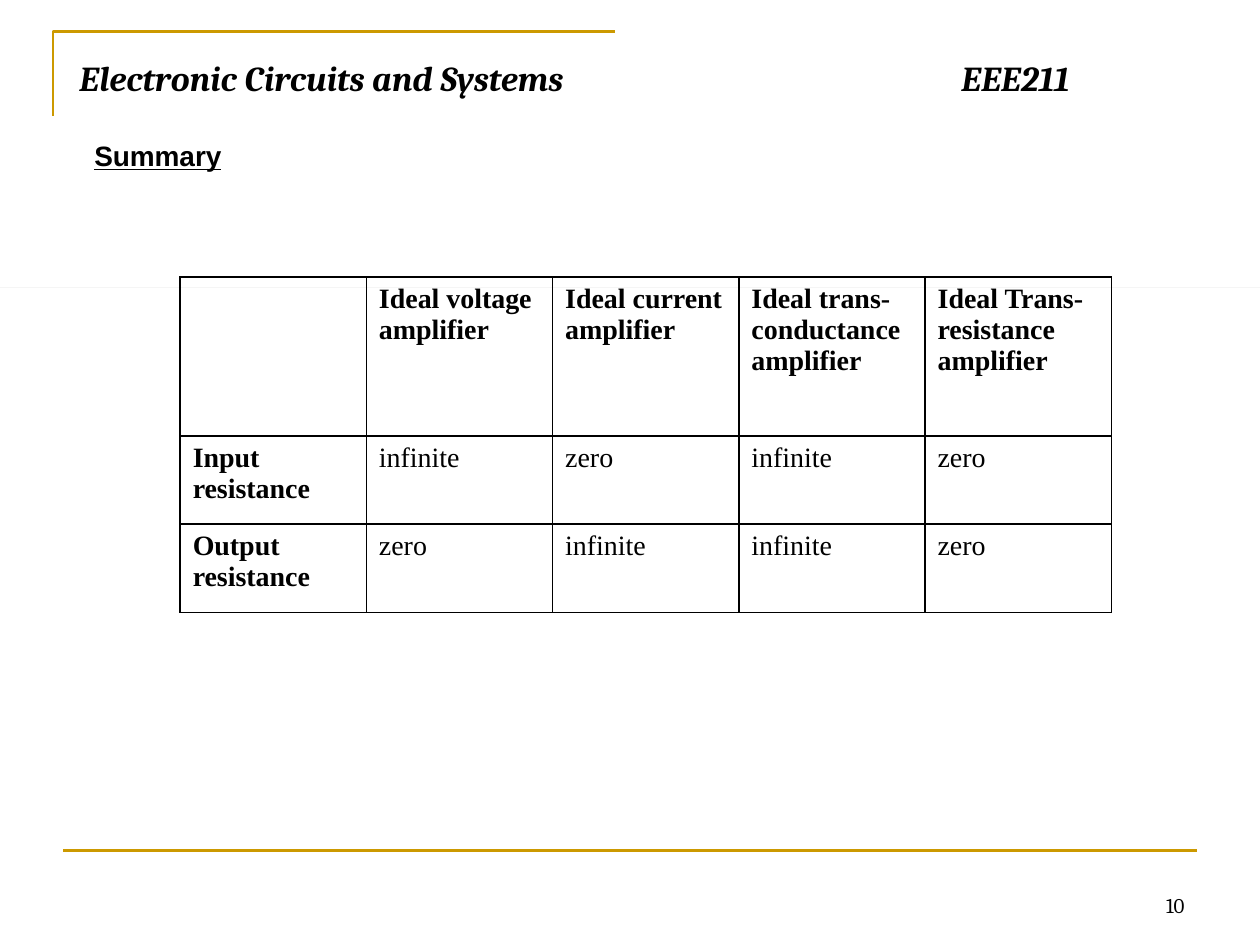
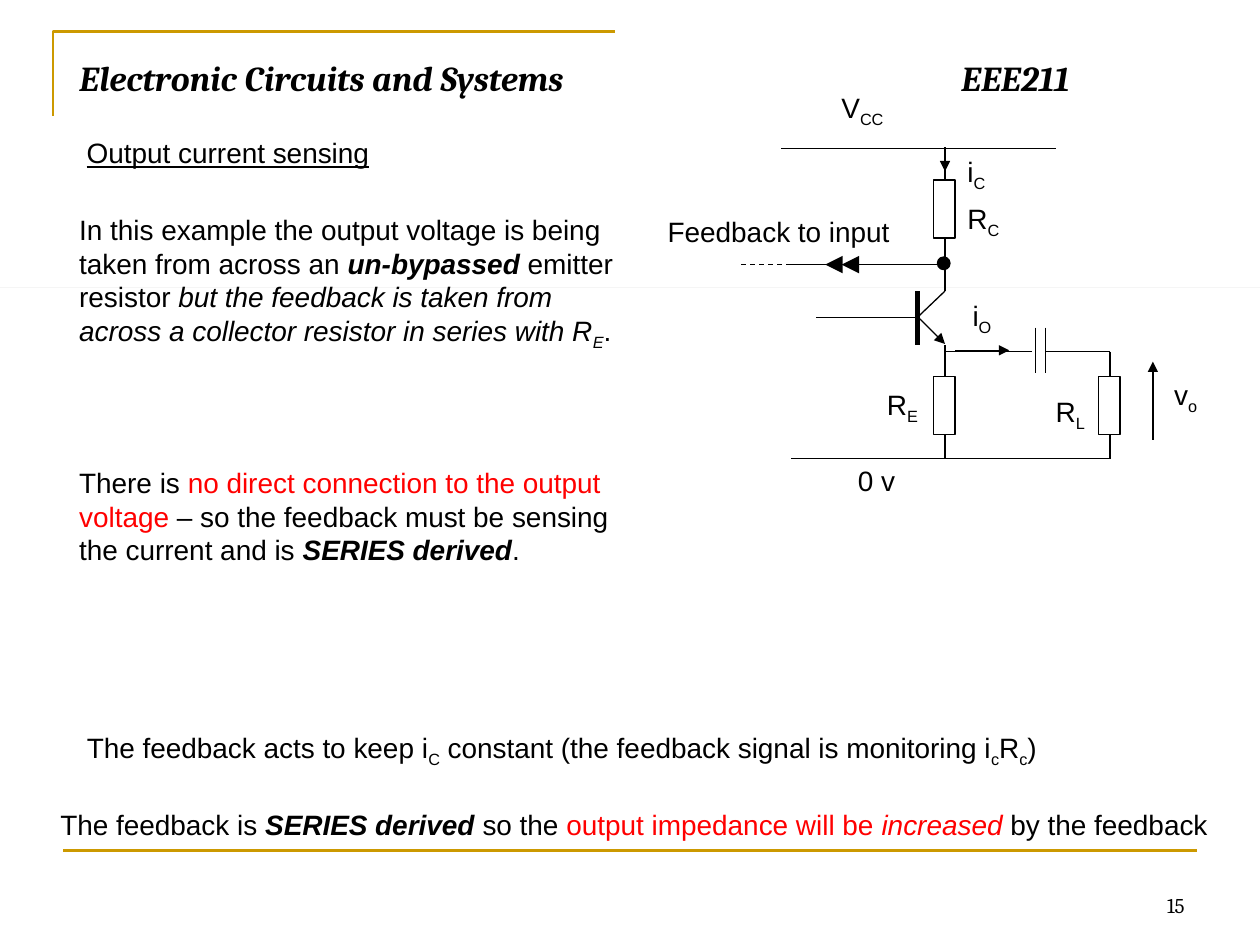
"""Build two lecture slides: an amplifier summary table and an output current sensing circuit."""
from lxml.etree import SubElement
from pptx import Presentation
from pptx.dml.color import RGBColor
from pptx.enum.dml import MSO_LINE
from pptx.enum.shapes import MSO_CONNECTOR, MSO_SHAPE
from pptx.enum.text import MSO_ANCHOR, MSO_AUTO_SIZE, PP_ALIGN
from pptx.oxml.ns import qn
from pptx.util import Inches, Pt

BLACK, WHITE, RED, GOLD, PALE = "000000", "FFFFFF", "FF0000", "CC9900", "E4E4E4"
TITLE = "Electronic Circuits and Systems\tEEE211"
SUBSCRIPT = "-25000"


def write(frame, paragraphs, font="Arial", size=16):
    """Fill a text frame with paragraphs made of (text, style words) spans."""
    frame.word_wrap = True
    for index, spans in enumerate(paragraphs):
        para = frame.paragraphs[0] if index == 0 else frame.add_paragraph()
        for text, style in spans:
            words = style.split()
            span = para.add_run()
            span.text = text
            values = {"name": font, "size": Pt(size), "bold": "bold" in words,
                      "italic": "italic" in words, "underline": "underline" in words}
            for name, value in values.items():
                setattr(span.font, name, value)
            span.font.color.rgb = RGBColor.from_string(RED if "red" in words else BLACK)
            if "sub" in words:
                span._r.get_or_add_rPr().set("baseline", SUBSCRIPT)


def draw_line(page, start, end, color=BLACK, width=0.75, head=None, dash=None):
    """Draw a straight line, with an arrowhead of the given size at its end."""
    line = page.shapes.add_connector(MSO_CONNECTOR.STRAIGHT, *map(Inches, start + end))
    line.line.color.rgb = RGBColor.from_string(color)
    line.line.width = Pt(width)
    if dash:
        line.line.dash_style = dash
    properties = line._element.spPr
    if head:
        SubElement(properties.find(qn("a:ln")), qn("a:tailEnd"), type="triangle", w=head, len=head)
    SubElement(properties, qn("a:effectLst"))


deck = Presentation()
deck.slide_width, deck.slide_height = Inches(10), Inches(7.5)

pages = []
for number in ("10", "15"):
    page = deck.slides.add_slide(deck.slide_layouts[5])
    pages.append(page)

    outline = page.shapes.build_freeform(Inches(0.42), Inches(0.92))
    outline.add_line_segments([(Inches(0.42), Inches(0.25)), (Inches(4.88), Inches(0.25))], close=False)
    bracket = outline.convert_to_shape()
    bracket.shadow.inherit = False
    bracket.fill.background()
    bracket.line.color.rgb = RGBColor.from_string(GOLD)
    bracket.line.width = Pt(1.5)
    draw_line(page, (0.5, 6.75), (9.5, 6.75), GOLD, 1.5)

    hairline = page.shapes.add_shape(MSO_SHAPE.RECTANGLE, 0, Inches(2.28), Inches(10), 0)
    hairline.shadow.inherit = False
    hairline.fill.solid()
    hairline.fill.fore_color.rgb = RGBColor.from_string(PALE)
    hairline.line.fill.background()

    title = page.shapes.title
    title.left, title.top, title.width, title.height = map(Inches, (0.53, 0.4, 8.92, 0.61))
    write(title.text_frame, [[(TITLE, "bold italic")]], "Cambria", 20)
    title.text_frame.auto_size = MSO_AUTO_SIZE.NONE
    title.text_frame.vertical_anchor = MSO_ANCHOR.TOP
    heading = title.text_frame.paragraphs[0]
    heading.alignment = PP_ALIGN.LEFT
    tabs = SubElement(heading._p.get_or_add_pPr(), qn("a:tabLst"))
    SubElement(tabs, qn("a:tab"), pos=str(Inches(7)), algn="l")

    footer = page.shapes.add_textbox(*map(Inches, (7.17, 6.83, 2.33, 0.5))).text_frame
    write(footer, [[(number, "")]], "Cambria", 12)
    footer.vertical_anchor = MSO_ANCHOR.BOTTOM
    footer.paragraphs[0].alignment = PP_ALIGN.RIGHT

summary, sensing = pages

box = summary.shapes.add_textbox(*map(Inches, (0.65, 1.05, 1.47, 0.37)))
write(box.text_frame, [[("Summary", "bold underline")]])

rows = [
    ["", "Ideal voltage\namplifier", "Ideal current\namplifier",
     "Ideal trans-conductance\namplifier", "Ideal Trans-resistance\namplifier"],
    ["Input resistance", "infinite", "zero", "infinite", "zero"],
    ["Output resistance", "zero", "infinite", "infinite", "zero"],
]
table = summary.shapes.add_table(3, 5, *map(Inches, (1.43, 2.2, 7.39, 2.67))).table
table.first_row = table.horz_banding = False
for column in table.columns:
    column.width = Inches(7.39 / 5)
for row, height in zip(table.rows, (1.26, 0.7, 0.7)):
    row.height = Inches(height)
for row_index, row in enumerate(rows):
    for column_index, text in enumerate(row):
        cell = table.cell(row_index, column_index)
        style = "" if row_index and column_index else "bold"
        write(cell.text_frame, [[(part, style)] for part in text.split("\n")], "Times New Roman")
        for side in ("lnL", "lnR", "lnT", "lnB"):
            border = SubElement(cell._tc.get_or_add_tcPr(), qn(f"a:{side}"), w=str(Pt(1)))
            SubElement(SubElement(border, qn("a:solidFill")), qn("a:srgbClr"), val=BLACK)
        cell.fill.background()

statements = [
    ((0.59, 1.03, 3.84, 0.37), [[("Output current sensing", "underline")]]),
    ((0.53, 1.64, 4.47, 2.93), [
        [("In this example the output voltage is being taken from across an ", ""),
         ("un-bypassed", "bold italic"), (" emitter resistor ", ""),
         ("but the feedback is taken from across a collector resistor in series with R", "italic"),
         ("E", "italic sub"), (".", "")],
        [("There is ", ""), ("no direct connection to the output voltage ", "red"),
         ("– so the feedback must be sensing the current and is ", ""),
         ("SERIES derived", "bold italic"), (".", "")]]),
    ((0.38, 6.36, 9.38, 0.37), [
        [("The feedback is ", ""), ("SERIES derived ", "bold italic"), ("so the ", ""),
         ("output impedance will be ", "red"), ("increased ", "red italic"), ("by the feedback", "")]]),
    ((0.59, 5.75, 8.98, 0.37), [
        [("The feedback acts to keep i", ""), ("C", "sub"),
         (" constant (the feedback signal is monitoring i", ""), ("c", "sub"),
         ("R", ""), ("c", "sub"), (")", "")]]),
]
for place, paragraphs in statements:
    frame = sensing.shapes.add_textbox(*map(Inches, place)).text_frame
    write(frame, paragraphs)
    for para in frame.paragraphs[1:]:
        para.space_before = Pt(65)

wires = [
    ((6.2, 1.18), (8.38, 1.18)),
    ((7.5, 1.18), (7.5, 2.31)),
    ((7.28, 2.52), (7.5, 2.31)),
    ((6.48, 2.52), (7.28, 2.52)),
    ((7.5, 2.74), (7.5, 3.64)),
    ((6.28, 3.64), (8.81, 3.64)),
    ((7.5, 2.79), (8.19, 2.79)),
    ((8.22, 2.6), (8.22, 2.96)),
    ((8.3, 2.6), (8.3, 2.96)),
    ((8.3, 2.79), (8.81, 2.79)),
    ((8.81, 2.79), (8.81, 3.64)),
    ((6.28, 2.1), (7.5, 2.1)),
]
for start, end in wires:
    draw_line(sensing, start, end)
draw_line(sensing, (7.28, 2.31), (7.28, 2.74), width=3)
draw_line(sensing, (6.35, 2.1), (5.86, 2.1), dash=MSO_LINE.DASH)

arrows = [
    ((7.3, 2.53), (7.5, 2.73), "med"),
    ((9.15, 3.49), (9.15, 2.87), "med"),
    ((7.58, 2.78), (8.01, 2.78), "med"),
    ((7.5, 1.17), (7.5, 1.36), "med"),
    ((6.91, 2.1), (6.55, 2.1), "lg"),
    ((7.04, 2.1), (6.68, 2.1), "lg"),
]
for start, end, head in arrows:
    draw_line(sensing, start, end, head=head)

parts = [(MSO_SHAPE.RECTANGLE, (left, top, 0.17, 0.46), WHITE)
         for left, top in ((7.41, 1.43), (7.41, 2.99), (8.72, 2.99))]
parts.append((MSO_SHAPE.OVAL, (7.44, 2.04, 0.1, 0.1), BLACK))
for kind, place, color in parts:
    part = sensing.shapes.add_shape(kind, *map(Inches, place))
    part.shadow.inherit = False
    part.fill.solid()
    part.fill.fore_color.rgb = RGBColor.from_string(color)
    part.line.color.rgb = RGBColor.from_string(BLACK)
    part.line.width = Pt(0.75)

labels = [
    (6.58, 0.67, 1.04, "V", "CC"),
    (7.58, 1.18, 0.68, "i", "C"),
    (7.58, 1.55, 1.03, "R", "C"),
    (5.2, 1.65, 1.99, "Feedback to input", ""),
    (7.62, 2.32, 0.68, "i", "O"),
    (6.94, 3.03, 0.53, "R", "E"),
    (8.28, 3.08, 0.51, "R", "L"),
    (9.22, 2.95, 0.51, "v", "o"),
    (6.71, 3.63, 0.68, "0 v", ""),
]
for left, top, width, name, subscript in labels:
    label = sensing.shapes.add_textbox(*map(Inches, (left, top, width, 0.37)))
    spans = [(name, "")] + ([(subscript, "sub")] if subscript else [])
    write(label.text_frame, [spans])

deck.save("out.pptx")
